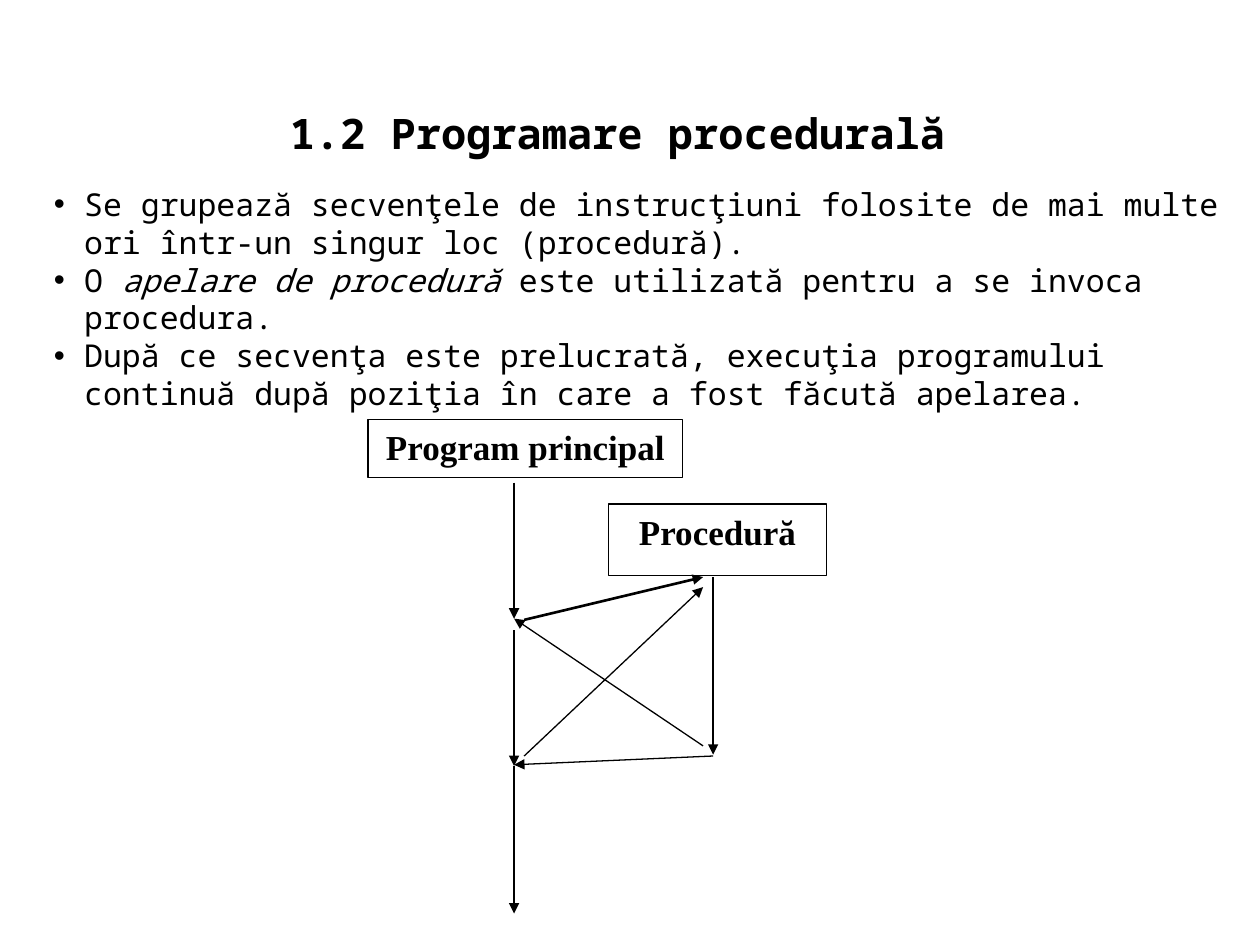
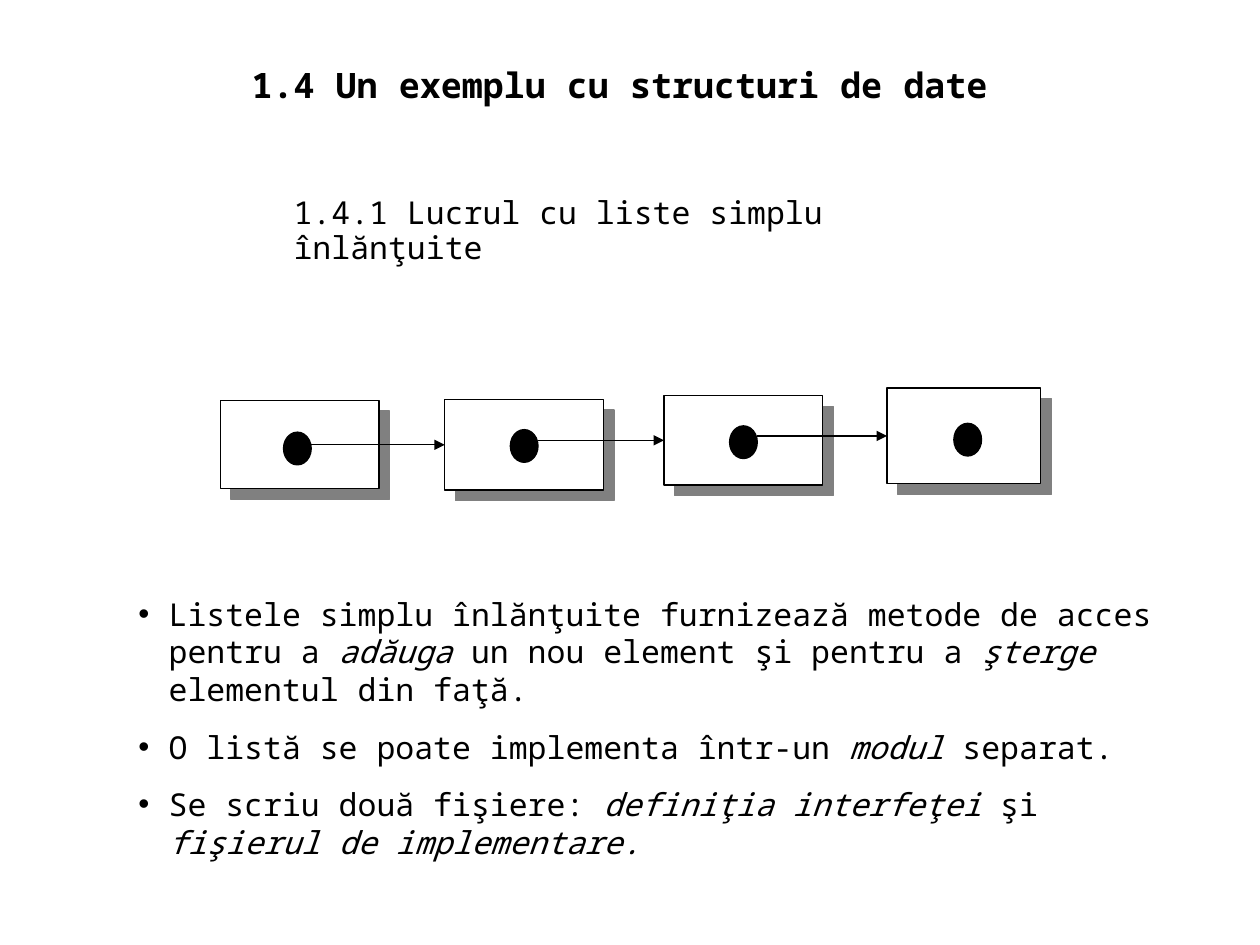
from itertools import pairwise

from lxml import etree
from pptx import Presentation
from pptx.dml.color import RGBColor
from pptx.enum import shapes, text
from pptx.oxml import parse_xml
from pptx.oxml.ns import nsdecls, qn
from pptx.util import Inches, Pt

BLACK = RGBColor(0, 0, 0)
WHITE = RGBColor(255, 255, 255)
SHADOW_GREY = RGBColor(0x80, 0x80, 0x80)
MONO, SERIF = "Noto Sans Mono", "Times New Roman"
INSETS = (0.1, 0.05, 0.1, 0.05)
BULLET_INDENT = 0.24
SHADOW_DISTANCE = Pt(8.5)

PROCEDURAL = {
    "title": "1.2 Programare procedurală ",
    "title_at": (0.5, 0.5, 9, 0.8),
    "title_size": 24,
    "points_at": (0.33, 1.42, 9.5, 1.6),
    "points_gap": 0,
    "points": [
        [("Se grupează secvenţele de instrucţiuni folosite de mai multe ori într-un singur loc (procedură).", False)],
        [("O ", False), ("apelare de procedură ", True),
         ("este utilizată pentru a se invoca procedura.", False)],
        [("După ce secvenţa este prelucrată, execuţia programului continuă după poziţia "
          "în care a fost făcută apelarea.", False)],
    ],
}
LINKED_LISTS = {
    "title": "1.4 Un exemplu cu structuri de date",
    "title_at": (0.42, 0.25, 9, 0.64),
    "title_size": 20,
    "points_at": (1, 4.67, 8.5, 1.62),
    "points_gap": 11.2,
    "points": [
        [("Listele simplu înlănţuite furnizează metode de acces pentru a ", False), ("adăuga ", True),
         ("un nou element şi pentru a ", False), ("şterge ", True), ("elementul din faţă.", False)],
        [("O listă se poate implementa într-un ", False), ("modul ", True), ("separat.", False)],
        [("Se scriu două fişiere: ", False), ("definiţia interfeţei ", True), ("şi ", False),
         ("fişierul de implementare.", True)],
    ],
}
SUBTITLE = "1.4.1 Lucrul cu liste simplu înlănţuite"

MAIN_X, PROCEDURE_X = 4.08, 5.66
CALL_X, ENTRY_X = 4.16, 5.58
ROUTINES = [
    ("Program principal", (2.92, 3.33, 2.5, 0.46)),
    ("Procedură", (4.83, 4, 1.73, 0.57)),
]
FLOW = [
    ((MAIN_X, 3.83), (MAIN_X, 4.91), 0.75),
    ((CALL_X, 4.92), (ENTRY_X, 4.58), 1.5),
    ((PROCEDURE_X, 4.58), (PROCEDURE_X, 5.99), 0.75),
    ((ENTRY_X, 5.92), (MAIN_X, 4.91), 0.75),
    ((MAIN_X, 5), (MAIN_X, 6.08), 0.75),
    ((CALL_X, 6), (ENTRY_X, 4.66), 0.75),
    ((PROCEDURE_X, 6), (MAIN_X, 6.07), 0.75),
    ((MAIN_X, 6.08), (MAIN_X, 7.25), 0.75),
]

DOT_SIZE = (0.22, 0.26)
NODES = [
    ((1.75, 3.18, 1.26, 0.7), (2.25, 3.43)),
    ((3.53, 3.17, 1.26, 0.72), (4.05, 3.41)),
    ((5.27, 3.14, 1.26, 0.71), (5.79, 3.38)),
    ((7.04, 3.08, 1.22, 0.76), (7.57, 3.36)),
]
LEFT_SIDE = 1


def inches(values):
    return [Inches(value) for value in values]


def apply(target, **settings):
    for key, value in settings.items():
        setattr(target, key, value)


def write(holder, paragraphs, font, size, bold=False, insets=INSETS,
          anchor=text.MSO_ANCHOR.TOP, align=text.PP_ALIGN.LEFT, **spacing):
    frame = holder.text_frame
    left, top, right, bottom = inches(insets)
    apply(frame, word_wrap=True, vertical_anchor=anchor, margin_left=left,
          margin_top=top, margin_right=right, margin_bottom=bottom)
    for index, parts in enumerate(paragraphs):
        paragraph = frame.add_paragraph() if index else frame.paragraphs[0]
        apply(paragraph, alignment=align, **spacing)
        for words, italic in parts:
            run = paragraph.add_run()
            run.text = words
            apply(run.font, name=font, size=Pt(size), bold=bold, italic=italic)
            run.font.color.rgb = BLACK
    return frame


def add_bullets(frame):
    indent = Inches(BULLET_INDENT)
    for paragraph in frame.paragraphs:
        properties = paragraph._p.get_or_add_pPr()
        properties.set("marL", str(int(indent)))
        properties.set("indent", str(-int(indent)))
        color = etree.SubElement(properties, qn("a:buClr"))
        etree.SubElement(color, qn("a:srgbClr"), val=str(BLACK))
        etree.SubElement(properties, qn("a:buFont"), typeface="Arial")
        etree.SubElement(properties, qn("a:buChar"), char="•")


def add_figure(slide, preset, place, fill):
    figure = slide.shapes.add_shape(preset, *inches(place))
    figure.shadow.inherit = False
    figure.fill.solid()
    figure.fill.fore_color.rgb = fill
    figure.line.color.rgb = BLACK
    figure.line.width = Pt(0.75)
    return figure


def add_arrow(slide, start, end, width=0.75):
    arrow = slide.shapes.add_connector(shapes.MSO_CONNECTOR.STRAIGHT, *inches(start + end))
    arrow.line.color.rgb = BLACK
    arrow.line.width = Pt(width)
    etree.SubElement(arrow.line._get_or_add_ln(), qn("a:tailEnd"), type="triangle")
    etree.SubElement(arrow._element.spPr, qn("a:effectLst"))
    return arrow


def cast_shadow(figure):
    effects = figure._element.spPr.find(qn("a:effectLst"))
    effects.append(parse_xml(
        f'<a:outerShdw {nsdecls("a")} dist="{int(SHADOW_DISTANCE)}" dir="2700000" '
        f'algn="ctr" rotWithShape="0"><a:srgbClr val="{SHADOW_GREY}"/></a:outerShdw>'))


def add_page(deck, content):
    slide = deck.slides.add_slide(deck.slide_layouts[6])
    title = slide.shapes.add_textbox(*inches(content["title_at"]))
    write(title, [[(content["title"], False)]], MONO, content["title_size"], bold=True,
          anchor=text.MSO_ANCHOR.BOTTOM, align=text.PP_ALIGN.CENTER)
    points = slide.shapes.add_textbox(*inches(content["points_at"]))
    add_bullets(write(points, content["points"], MONO, 18, space_before=Pt(content["points_gap"])))
    return slide


def draw_call_flow(slide):
    for label, place in ROUTINES:
        routine = add_figure(slide, shapes.MSO_SHAPE.RECTANGLE, place, WHITE)
        write(routine, [[(label, False)]], SERIF, 20, bold=True, align=text.PP_ALIGN.CENTER)
    for start, end, width in FLOW:
        add_arrow(slide, start, end, width)


def draw_linked_list(slide):
    subtitle = slide.shapes.add_textbox(*inches((2.33, 1.55, 5.12, 0.79)))
    write(subtitle, [[(SUBTITLE, False)]], MONO, 18, insets=(0, 0, 0, 0), line_spacing=0.95)
    cells = [add_figure(slide, shapes.MSO_SHAPE.RECTANGLE, place, WHITE) for place, _ in NODES]
    for cell, (_, corner) in zip(cells, NODES):
        cast_shadow(cell)
        add_figure(slide, shapes.MSO_SHAPE.OVAL, corner + DOT_SIZE, BLACK)
    for ((_, (dot_left, _)), (next_place, _)), next_cell in zip(pairwise(NODES), cells[1:]):
        left, top, _, height = next_place
        middle = top + height / 2
        link = add_arrow(slide, (dot_left + DOT_SIZE[0], middle), (left, middle))
        link.end_connect(next_cell, LEFT_SIDE)


def main():
    deck = Presentation()
    deck.slide_width, deck.slide_height = inches((10, 7.5))
    draw_call_flow(add_page(deck, PROCEDURAL))
    draw_linked_list(add_page(deck, LINKED_LISTS))
    deck.save("out.pptx")


if __name__ == "__main__":
    main()
